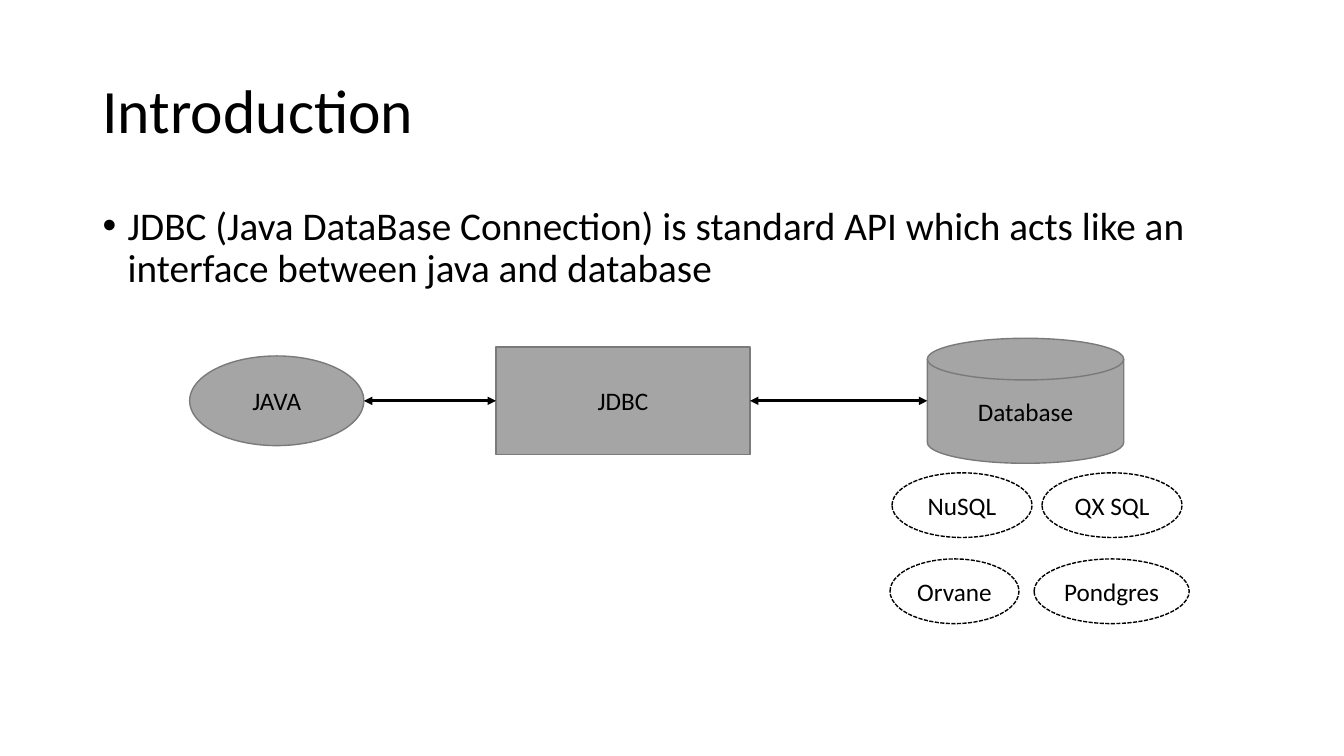
from pptx import Presentation
from pptx.dml.color import RGBColor
from pptx.enum.dml import MSO_LINE
from pptx.enum.shapes import MSO_CONNECTOR, MSO_SHAPE
from pptx.enum.text import MSO_ANCHOR, MSO_AUTO_SIZE, PP_ALIGN
from pptx.oxml.ns import qn
from pptx.util import Cm, Pt
from lxml.etree import SubElement

BLACK, GREY, DARK_GREY = "000000", "A5A5A5", "7A7A7A"


def color(value):
    return RGBColor.from_string(value)


class SlideBuilder:
    font = "Calibri"

    def __init__(self, slide):
        self.slide = slide

    def style(self, para, size, align):
        para.alignment = align
        para.font.name = self.font
        para.font.size = Pt(size)
        para.font.color.rgb = color(BLACK)

    def placeholder(self, index, text, top, height, size, anchor):
        box = self.slide.placeholders[index]
        box.left, box.top = Cm(2.33), Cm(top)
        box.width, box.height = Cm(29.21), Cm(height)
        frame = box.text_frame
        frame.text = text
        frame.auto_size = MSO_AUTO_SIZE.NONE
        frame.vertical_anchor = anchor
        para = frame.paragraphs[0]
        para.line_spacing = 0.9
        self.style(para, size, PP_ALIGN.LEFT)
        return para

    def title(self, text):
        para = self.placeholder(0, text, 1.02, 3.68, 44, MSO_ANCHOR.MIDDLE)
        para.space_before = Pt(0)

    def bullet(self, text):
        para = self.placeholder(1, text, 5.08, 2.72, 28, MSO_ANCHOR.TOP)
        para.space_before = Pt(10)
        properties = para._p.get_or_add_pPr()
        properties.set("marL", str(Cm(0.635)))
        properties.set("indent", str(-Cm(0.635)))
        font = SubElement(properties, qn("a:buFont"), typeface="Arial")
        mark = SubElement(properties, qn("a:buChar"), char="•")
        properties.find(qn("a:defRPr")).addprevious(font)
        font.addnext(mark)

    def node(self, kind, text, left, middle, width, height, fill=None):
        """A labelled shape; without a fill it is outlined with dashes."""
        box = self.slide.shapes.add_shape(
            kind, Cm(left), Cm(middle - height / 2), Cm(width), Cm(height))
        box.shadow.inherit = False
        box.line.width = Pt(1)
        if fill:
            box.fill.solid()
            box.fill.fore_color.rgb = color(fill)
            box.line.color.rgb = color(DARK_GREY)
        else:
            box.fill.background()
            box.line.color.rgb = color(BLACK)
            box.line.dash_style = MSO_LINE.SQUARE_DOT
            box.line._get_or_add_ln().find(qn("a:prstDash")).set("val", "sysDash")
        frame = box.text_frame
        frame.text = text
        frame.word_wrap = False
        frame.vertical_anchor = MSO_ANCHOR.MIDDLE
        self.style(frame.paragraphs[0], 18, PP_ALIGN.CENTER)
        return box

    def double_arrow(self, start, end, middle):
        arrow = self.slide.shapes.add_connector(
            MSO_CONNECTOR.STRAIGHT, start.left + start.width, Cm(middle),
            end.left, Cm(middle))
        arrow.line.width = Pt(2)
        arrow.line.color.rgb = color(BLACK)
        outline = arrow.line._get_or_add_ln()
        for tip in ("a:headEnd", "a:tailEnd"):
            SubElement(outline, qn(tip), type="triangle")
        SubElement(arrow._element.spPr, qn("a:effectLst"))


def main():
    deck = Presentation()
    deck.slide_width, deck.slide_height = Cm(33.87), Cm(19.05)
    page = SlideBuilder(deck.slides.add_slide(deck.slide_layouts[1]))

    # Heading and statement
    page.title("Introduction")
    page.bullet("JDBC (Java DataBase Connection) is standard API which acts "
                "like an interface between java and database")

    # Flow from language to database
    axis = 10.1
    java = page.node(MSO_SHAPE.OVAL, "JAVA", 4.78, axis, 4.39, 2.26, GREY)
    jdbc = page.node(MSO_SHAPE.RECTANGLE, "JDBC", 12.5, axis, 6.4, 2.72, GREY)
    database = page.node(MSO_SHAPE.FLOWCHART_MAGNETIC_DISK, "Database",
                         23.37, axis, 4.95, 3.15, GREY)
    page.double_arrow(java, jdbc, axis)
    page.double_arrow(jdbc, database, axis)

    # Database products
    products = [
        ("NuSQL", 22.48, 12.73, 3.53),
        ("QX SQL", 26.26, 12.73, 3.53),
        ("Orvane", 22.43, 14.9, 3.25),
        ("Pondgres", 26.06, 14.9, 3.91),
    ]
    for name, left, middle, width in products:
        page.node(MSO_SHAPE.OVAL, name, left, middle, width, 1.63)

    deck.save("out.pptx")


if __name__ == "__main__":
    main()
